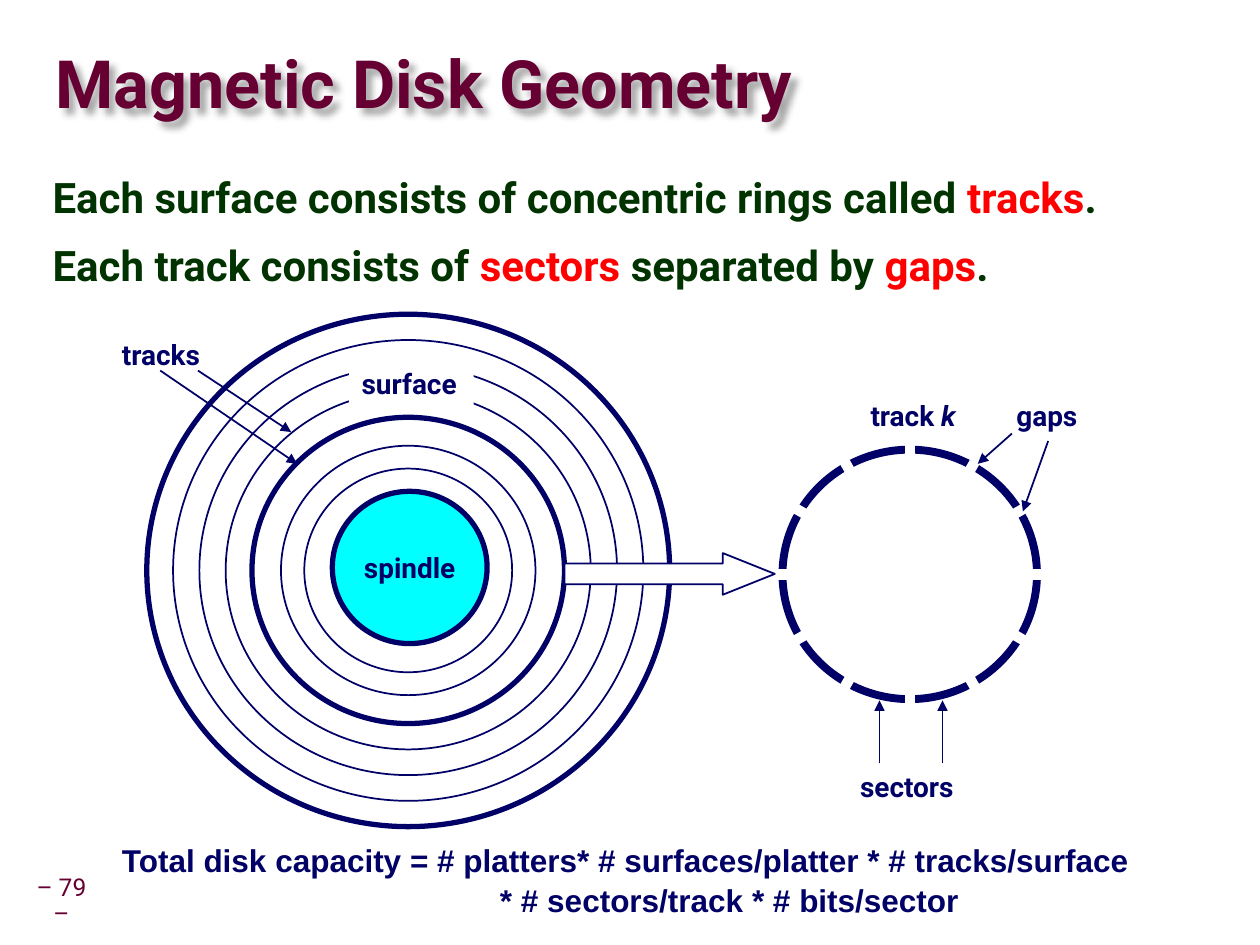
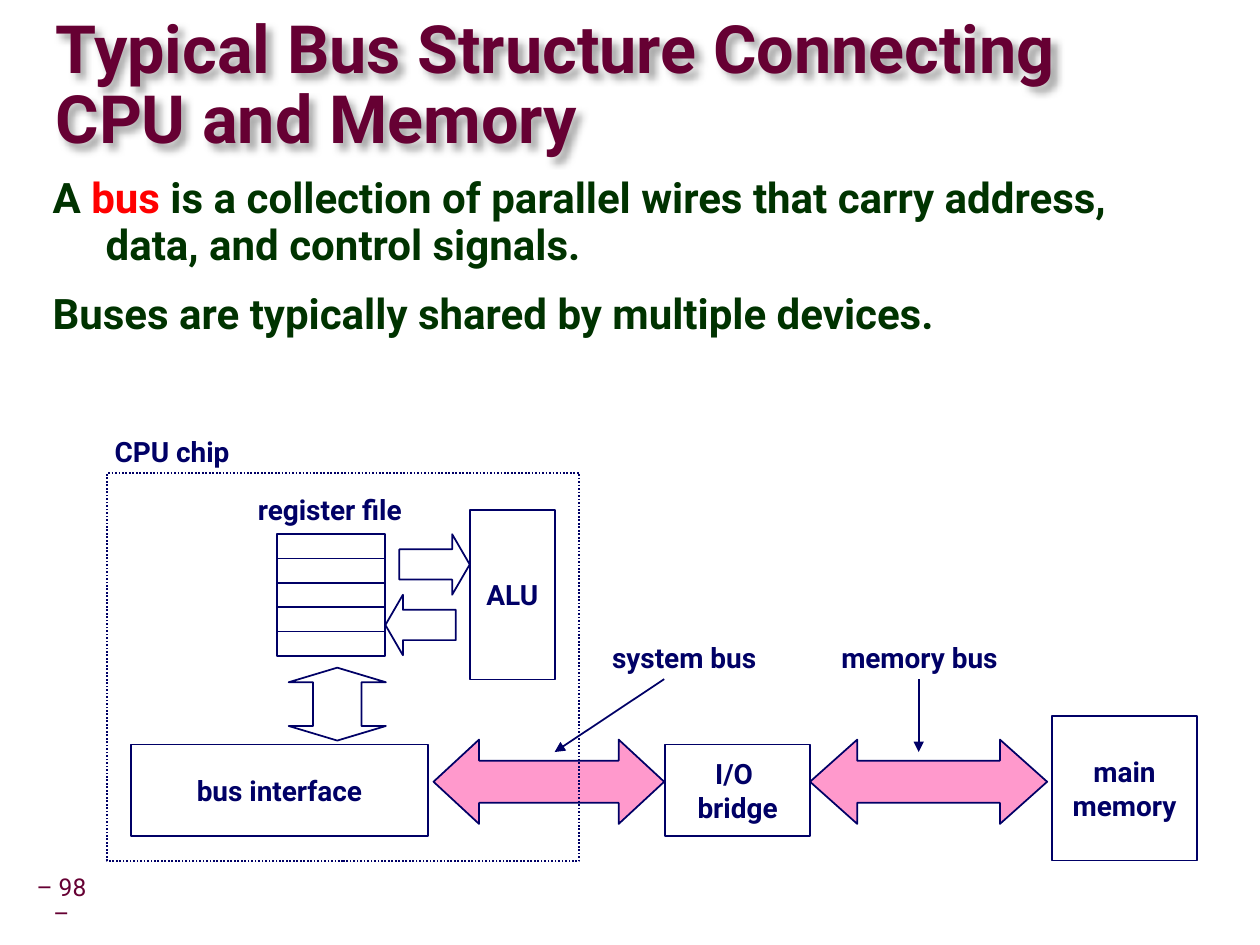
from math import cos, radians, sin

from lxml.etree import SubElement
from pptx import Presentation
from pptx.dml.color import RGBColor
from pptx.enum.dml import MSO_LINE
from pptx.enum.shapes import MSO_CONNECTOR, MSO_SHAPE as Shape
from pptx.enum.text import MSO_ANCHOR as Anchor, MSO_AUTO_SIZE, PP_ALIGN as Align
from pptx.oxml.ns import qn
from pptx.util import Cm, Pt

COLORS = {
    "title": "660033",
    "body": "003300",
    "accent": "FF0000",
    "ink": "000066",
    "paper": "FFFFFF",
    "spindle": "00FFFF",
    "bus": "FF99CC",
}
FONT = "Roboto"
LABEL_HEIGHT = 0.94
TITLE_ONLY = 5


def color(name):
    return RGBColor.from_string(COLORS[name])


def add_span(para, text, size, tint="ink", bold=True, italic=False, font=FONT):
    span = para.add_run()
    span.text = text
    span.font.name = font
    span.font.size = Pt(size)
    span.font.bold = bold
    span.font.italic = italic
    span.font.color.rgb = color(tint)


def next_para(frame, index):
    return frame.add_paragraph() if index else frame.paragraphs[0]


def set_indent(para, left, first=0):
    properties = para._p.get_or_add_pPr()
    properties.set("marL", str(Cm(left)))
    properties.set("indent", str(Cm(first)))


def add_box(page, left, top, width, height):
    box = page.shapes.add_textbox(Cm(left), Cm(top), Cm(width), Cm(height))
    box.text_frame.word_wrap = True
    return box


def add_title(page, lines):
    title = page.shapes.title
    title.left, title.top, title.width, title.height = Cm(1.12), Cm(0.69), Cm(24.2), Cm(2.16)
    frame = title.text_frame
    frame.auto_size = MSO_AUTO_SIZE.NONE
    frame.vertical_anchor = Anchor.MIDDLE
    frame.margin_left = frame.margin_right = frame.margin_top = frame.margin_bottom = 0
    para = frame.paragraphs[0]
    para.alignment = Align.LEFT
    para.line_spacing = 0.87
    for index, line in enumerate(lines):
        if index:
            para.add_line_break()
        add_span(para, line, 38, "title")
    effects = SubElement(title.element.spPr, qn("a:effectLst"))
    shadow = SubElement(effects, qn("a:outerShdw"), blurRad="50800", dist="50800", dir="2700000")
    black = SubElement(shadow, qn("a:srgbClr"), val="000000")
    SubElement(black, qn("a:alpha"), val="35000")


def add_body(page, paragraphs):
    frame = add_box(page, 0.81, 3.4, 23.09, 14.5).text_frame
    for index, spans in enumerate(paragraphs):
        para = next_para(frame, index)
        set_indent(para, 1.07, -1.07)
        para.line_spacing = 0.95
        if index:
            para.space_before = Pt(12)
        for text, tint in spans:
            add_span(para, text, 24, tint)


def add_page_number(page, number):
    frame = add_box(page, 0.58, 17.47, 1.32, 1.42).text_frame
    frame.vertical_anchor = Anchor.MIDDLE
    frame.margin_left = frame.margin_right = Cm(0.13)
    para = frame.paragraphs[0]
    para.alignment = Align.CENTER
    para.line_spacing = 0.9
    add_span(para, f"– {number} –", 14, "title", bold=False)


def add_page(deck, title_lines, body, number):
    page = deck.slides.add_slide(deck.slide_layouts[TITLE_ONLY])
    add_title(page, title_lines)
    add_body(page, body)
    add_page_number(page, number)
    return page


def add_label(page, text, left, top, width, italic_end="", fill=None):
    box = add_box(page, left, top, width, LABEL_HEIGHT)
    if fill:
        box.fill.solid()
        box.fill.fore_color.rgb = color(fill)
    box.text_frame.vertical_anchor = Anchor.MIDDLE
    para = box.text_frame.paragraphs[0]
    para.alignment = Align.LEFT
    add_span(para, text, 16)
    if italic_end:
        add_span(para, italic_end, 16, italic=True)


def set_adjustments(figure, values):
    for index, value in enumerate(values):
        figure.adjustments[index] = value
    for number, guide in enumerate(figure.element.iter(qn("a:gd")), start=1):
        guide.set("name", f"adj{number}")


def add_figure(page, kind, left, top, width, height, lines=(), fill=None, weight=1, adjust=()):
    figure = page.shapes.add_shape(kind, Cm(left), Cm(top), Cm(width), Cm(height))
    figure.shadow.inherit = False
    if adjust:
        set_adjustments(figure, adjust)
    if fill:
        figure.fill.solid()
        figure.fill.fore_color.rgb = color(fill)
    else:
        figure.fill.background()
    figure.line.color.rgb = color("ink")
    figure.line.width = Pt(weight)
    frame = figure.text_frame
    frame.word_wrap = False
    frame.vertical_anchor = Anchor.MIDDLE
    for index, line in enumerate(lines):
        para = next_para(frame, index)
        para.alignment = Align.CENTER
        add_span(para, line, 16)
    return figure


def add_circle(page, center, width, height, **style):
    x, y = center
    add_figure(page, Shape.OVAL, x - width / 2, y - height / 2, width, height, **style)


def add_line(page, start, end, tint="ink", weight=1, arrow=True):
    ends = [Cm(length) for length in (*start, *end)]
    line = page.shapes.add_connector(MSO_CONNECTOR.STRAIGHT, *ends)
    line.line.color.rgb = color(tint)
    line.line.width = Pt(weight)
    properties = line.element.spPr
    if arrow:
        SubElement(properties.find(qn("a:ln")), qn("a:tailEnd"), type="triangle")
    SubElement(properties, qn("a:effectLst"))


def add_platter(page):
    center = (8.23, 11.5)
    outer_tracks = [(10.54 - 1.06 * step, 3 if step in (0, 4) else 1) for step in range(5)]
    for width, weight in outer_tracks + [(5.13, 1), (4.19, 1)]:
        add_circle(page, center, width, width * 0.98, weight=weight)
    add_circle(page, (8.26, 11.44), 3.12, 3.07, lines=["spindle"], fill="spindle", weight=3)
    add_label(page, "surface", 7.04, 7.26, 2.51, fill="paper")
    add_line(page, (3.23, 7.47), (5.99, 9.35))
    add_line(page, (3.99, 7.47), (5.87, 8.71))
    add_label(page, "tracks", 2.21, 6.68, 2.18)


def add_track(page):
    center_x, center_y = center = (18.34, 11.58)
    gap_reach = 2.95
    add_circle(page, center, 5.13, 5.03, weight=4.5)
    for angle in range(0, 360, 30):
        tip = (center_x + gap_reach * cos(radians(angle)), center_y + gap_reach * sin(radians(angle)))
        add_line(page, center, tip, "paper", 6, arrow=False)
    add_label(page, "track ", 17.3, 7.9, 2.34, italic_end="k")
    add_label(page, "sectors", 17.09, 15.39, 2.51)
    for x in (17.73, 19):
        add_line(page, (x, 15.39), (x, 14.12))
    add_label(page, "gaps", 20.24, 7.9, 1.83)
    add_line(page, (20.4, 8.74), (19.71, 9.35))
    add_line(page, (21.13, 8.89), (20.62, 10.31))


def add_capacity(page):
    frame = add_box(page, 2.21, 17.07, 21.6, 1.68).text_frame
    formula = [
        ("Total disk capacity = # platters* # surfaces/platter * # tracks/surface", 0),
        ("* # sectors/track * # bits/sector", 7.62),
    ]
    for index, (text, indent) in enumerate(formula):
        para = next_para(frame, index)
        set_indent(para, indent)
        para.line_spacing = 0.65
        if index:
            para.space_before = Pt(9)
        add_span(para, text, 18, font="Arial")


def add_disk_page(deck):
    body = [
        [("Each surface consists of concentric rings called ", "body"), ("tracks", "accent"), (".", "body")],
        [("Each track consists of ", "body"), ("sectors", "accent"), (" separated by ", "body"),
         ("gaps", "accent"), (".", "body")],
    ]
    page = add_page(deck, ["Magnetic Disk Geometry"], body, 79)
    add_platter(page)
    add_track(page)
    add_figure(page, Shape.RIGHT_ARROW, 11.38, 11.15, 4.24, 0.84, fill="paper", adjust=(0.5, 1.25))
    add_capacity(page)


def add_cpu_chip(page):
    add_figure(page, Shape.RECTANGLE, 2.64, 15.01, 5.99, 1.85, ["bus interface"])
    register_height = 0.49
    for row in range(5):
        add_figure(page, Shape.RECTANGLE, 5.59, 10.77 + row * register_height, 2.18, register_height)
    add_figure(page, Shape.RIGHT_ARROW, 8.05, 10.77, 1.42, 1.22, adjust=(0.5, 0.29))
    add_figure(page, Shape.LEFT_ARROW, 7.77, 11.99, 1.42, 1.22, adjust=(0.5, 0.29))
    add_figure(page, Shape.RECTANGLE, 9.47, 10.28, 1.72, 3.42, ["ALU"])
    add_label(page, "register file", 4.95, 9.8, 3.56)
    add_figure(page, Shape.UP_DOWN_ARROW, 5.82, 13.46, 1.96, 1.47, adjust=(0.5, 0.2))
    chip = add_figure(page, Shape.RECTANGLE, 2.16, 9.54, 9.52, 7.82)
    chip.line.dash_style = MSO_LINE.ROUND_DOT
    add_label(page, "CPU chip", 2.06, 8.63, 3.02)


def add_bus_page(deck):
    body = [
        [("A ", "body"), ("bus", "accent"),
         (" is a collection of parallel wires that carry address, data, and control signals.", "body")],
        [("Buses are typically shared by multiple devices.", "body")],
    ]
    page = add_page(deck, ["Typical Bus Structure Connecting ", "CPU and Memory"], body, 98)
    add_figure(page, Shape.RECTANGLE, 21.21, 14.43, 2.92, 2.92, ["main", "memory"])
    add_figure(page, Shape.RECTANGLE, 13.41, 15.01, 2.92, 1.85, ["I/O ", "bridge"])
    for left, width, head in ((16.33, 4.78, 0.56), (8.74, 4.65, 0.54)):
        add_figure(page, Shape.LEFT_RIGHT_ARROW, left, 14.91, width, 1.7, fill="bus", adjust=(0.5, head))
    add_cpu_chip(page)
    add_label(page, "system bus", 12.09, 12.78, 3.61)
    add_line(page, (13.39, 13.69), (11.18, 15.16))
    add_label(page, "memory bus", 16.71, 12.78, 3.86)
    add_line(page, (18.52, 13.69), (18.52, 15.16))


def main():
    deck = Presentation()
    deck.slide_width, deck.slide_height = Cm(25.4), Cm(19.05)
    add_disk_page(deck)
    add_bus_page(deck)
    deck.save("out.pptx")


if __name__ == "__main__":
    main()
